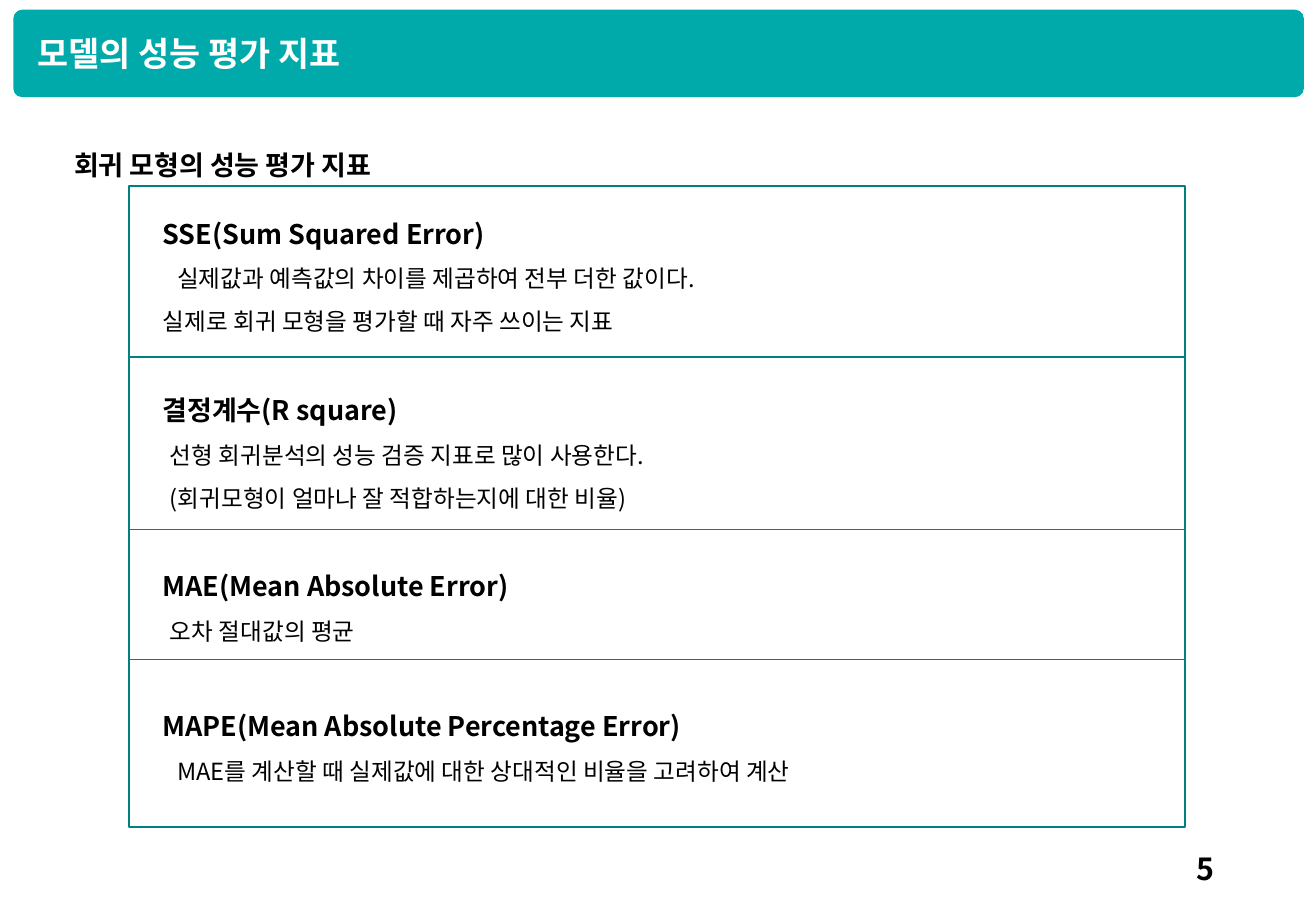
from pptx import Presentation
from pptx.dml.color import RGBColor
from pptx.enum.shapes import MSO_SHAPE
from pptx.enum.text import MSO_ANCHOR, MSO_AUTO_SIZE, PP_ALIGN
from pptx.oxml.ns import qn
from pptx.util import Emu, Pt

RECTANGLE = MSO_SHAPE.RECTANGLE
ROUNDED = MSO_SHAPE.ROUNDED_RECTANGLE
TOP, MIDDLE = MSO_ANCHOR.TOP, MSO_ANCHOR.MIDDLE
LEFT, RIGHT = PP_ALIGN.LEFT, PP_ALIGN.RIGHT
FIXED = MSO_AUTO_SIZE.NONE

TEAL = RGBColor(0x00, 0xAA, 0xAA)
DARK_TEAL = RGBColor(0x00, 0x80, 0x80)
WHITE = RGBColor(0xFF, 0xFF, 0xFF)
BLACK = RGBColor(0x00, 0x00, 0x00)
KOREAN_FONT = "Noto Sans CJK KR"
TITLE_FONT = "Arial"

PX_PER_INCH = 100
METRIC_LINE = 25.5

# Each metric: space before (pt), heading, and (indent px, text) lines
METRICS = [
    (0, "SSE(Sum Squared Error)", [
        (12, "실제값과 예측값의 차이를 제곱하여 전부 더한 값이다."),
        (0, "실제로 회귀 모형을 평가할 때 자주 쓰이는 지표")]),
    (28, "결정계수(R square)", [
        (6, "선형 회귀분석의 성능 검증 지표로 많이 사용한다."),
        (6, "(회귀모형이 얼마나 잘 적합하는지에 대한 비율)")]),
    (28, "MAE(Mean Absolute Error)", [
        (6, "오차 절대값의 평균")]),
    (32, "MAPE(Mean Absolute Percentage Error)", [
        (12, "MAE를 계산할 때 실제값에 대한 상대적인 비율을 고려하여 계산")]),
]
CARD_HEIGHTS = [141, 142, 107, 138]


def px(length):
    return Emu(length * 914400 // PX_PER_INCH)


def place(shape, box):
    shape.left, shape.top, shape.width, shape.height = map(px, box)


def prepare_frame(shape, anchor=TOP, insets=(10, 5, 10, 5)):
    frame = shape.text_frame
    frame.word_wrap = True
    frame.auto_size = FIXED
    frame.vertical_anchor = anchor
    (frame.margin_left, frame.margin_top,
     frame.margin_right, frame.margin_bottom) = map(px, insets)
    return frame


def write(para, text, size, color=BLACK, bold=True, font=KOREAN_FONT,
          align=LEFT, line=None, indent=0):
    """Add one run to a paragraph, with its Latin and Korean fonts."""
    para.alignment = align
    if line:
        para.line_spacing = Pt(line)
    if indent:
        para._p.get_or_add_pPr().set("marL", str(px(indent)))
    span = para.add_run()
    span.text = text
    span.font.size = Pt(size)
    span.font.bold = bold
    span.font.color.rgb = color
    span.font.name = font
    properties = span._r.get_or_add_rPr()
    east_asian = properties.makeelement(qn("a:ea"), {"typeface": KOREAN_FONT})
    properties.find(qn("a:latin")).addnext(east_asian)


def add_header(page, box):
    left, top, width, height = box
    banner = page.shapes.add_shape(ROUNDED, *map(px, box))
    banner.adjustments[0] = 0.1
    banner.shadow.inherit = False
    banner.fill.solid()
    banner.fill.fore_color.rgb = TEAL
    banner.line.fill.background()
    title = page.shapes.title
    title._element.addprevious(banner._element)
    place(title, (left + 10, top + 14, 584, 44))
    frame = prepare_frame(title, MIDDLE)
    write(frame.paragraphs[0], "모델의 성능 평가 지표", 20, WHITE, font=TITLE_FONT)


def add_subtitle(page, box):
    frame = prepare_frame(page.shapes.add_textbox(*map(px, box)),
                          insets=(8, 0, 0, 0))
    write(frame.paragraphs[0], "회귀 모형의 성능 평가 지표", 16,
          font=TITLE_FONT, line=30)


def add_metric_frames(page, box):
    left, top, width, _ = box
    for height in CARD_HEIGHTS:
        card = page.shapes.add_shape(
            RECTANGLE, *map(px, (left, top, width, height)))
        card.shadow.inherit = False
        card.fill.background()
        card.line.color.rgb = DARK_TEAL
        card.line.width = Pt(1)
        top += height


def add_metric_text(page, box):
    frame = prepare_frame(page.shapes.add_textbox(*map(px, box)),
                          insets=(10, 10, 10, 5))
    for number, (gap, heading, lines) in enumerate(METRICS):
        para = frame.add_paragraph() if number else frame.paragraphs[0]
        if gap:
            para.space_before = Pt(gap)
        write(para, heading, 16, line=METRIC_LINE)
        for indent, text in lines:
            write(frame.add_paragraph(), text, 14, bold=False,
                  line=METRIC_LINE, indent=indent)


def add_metrics(page, box):
    left, top, width, height = box
    add_metric_text(page, (left + 18, top + 7, width - 18, height - 7))
    add_metric_frames(page, box)


def add_page_number(page, box):
    frame = prepare_frame(page.shapes.add_textbox(*map(px, box)), MIDDLE)
    write(frame.paragraphs[0], "5", 18, align=RIGHT)


def main():
    deck = Presentation()
    deck.slide_width, deck.slide_height = px(1083), px(750)
    page = deck.slides.add_slide(deck.slide_layouts[5])
    add_header(page, (11, 8, 1062, 72))
    add_page_number(page, (765, 695, 244, 40))
    add_subtitle(page, (53, 107, 976, 47))
    add_metrics(page, (106, 153, 869, sum(CARD_HEIGHTS)))
    deck.save("out.pptx")


if __name__ == "__main__":
    main()
